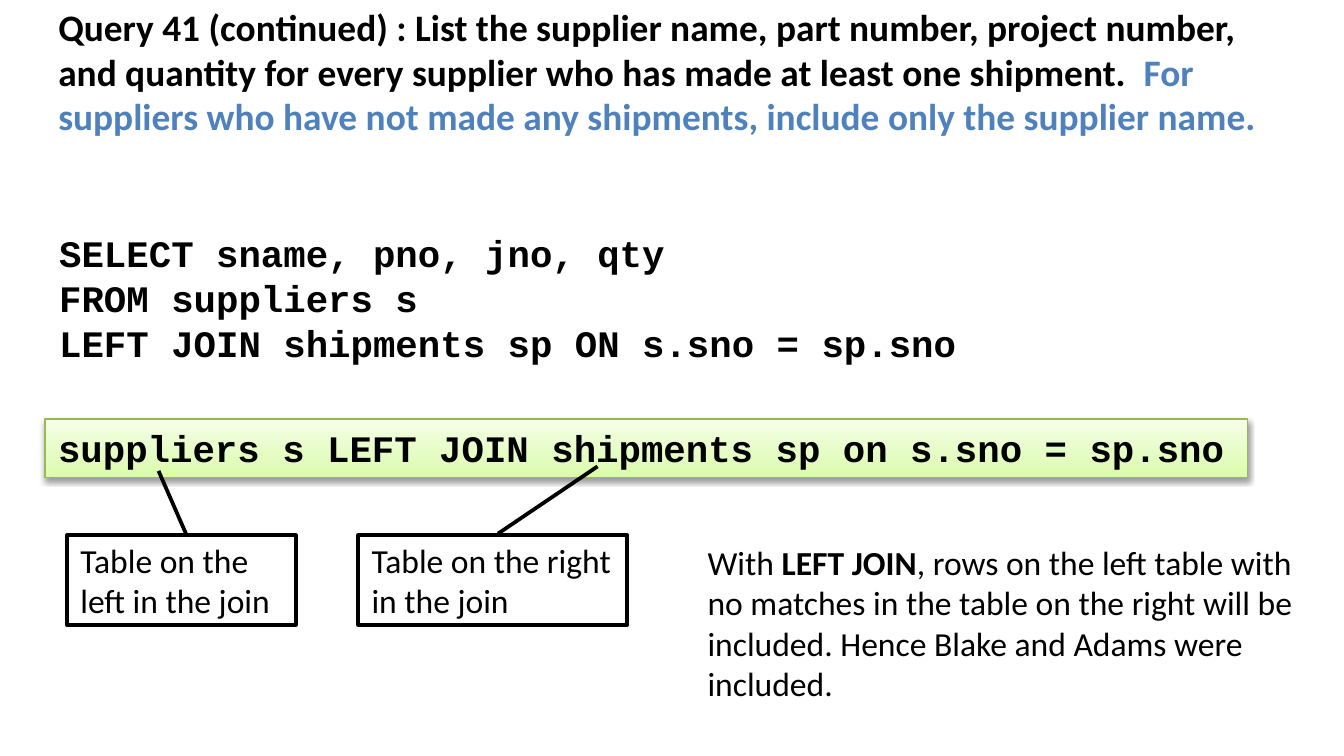
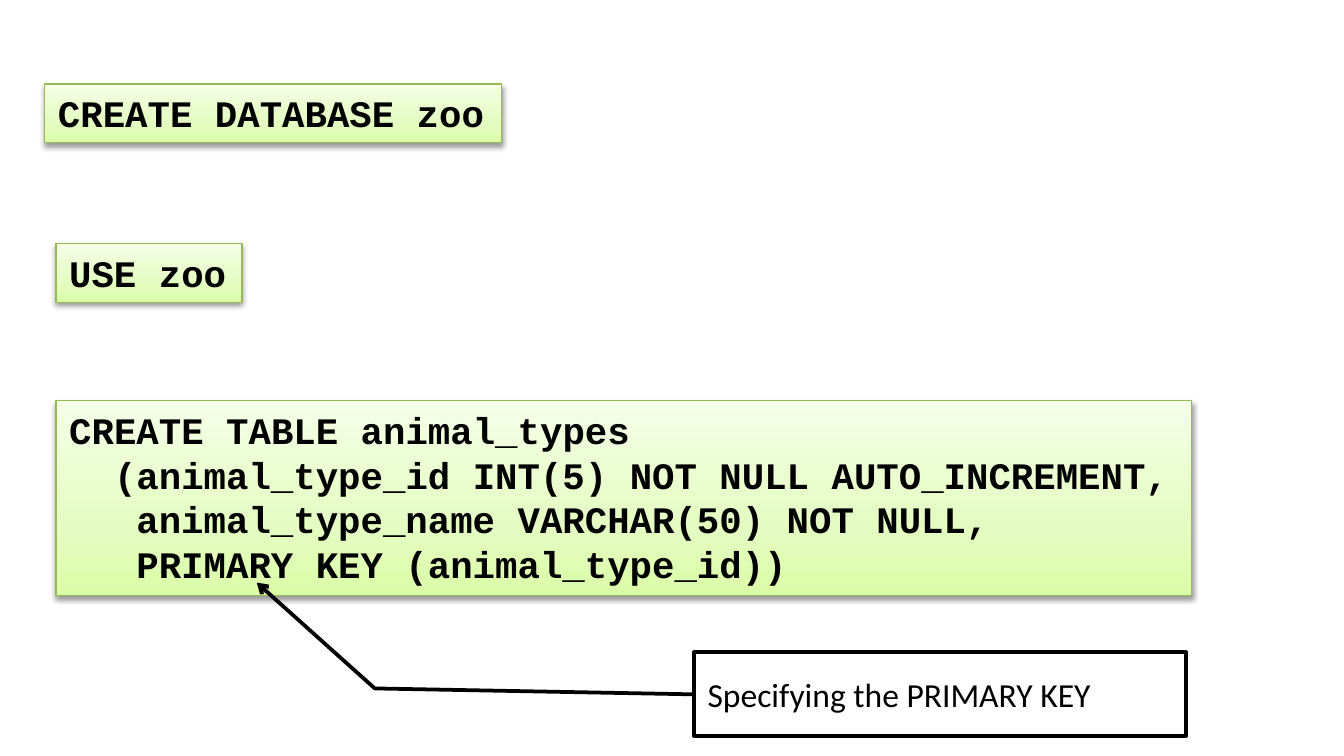
"""Build two SQL slides: a LEFT JOIN explained, and the creation of a zoo database."""
from copy import deepcopy

from lxml import etree
from pptx import Presentation
from pptx.dml.color import RGBColor
from pptx.enum.shapes import MSO_SHAPE
from pptx.enum.text import MSO_ANCHOR, MSO_AUTO_SIZE, PP_ALIGN
from pptx.oxml.ns import qn
from pptx.util import Inches, Pt

RECTANGLE = MSO_SHAPE.RECTANGLE
STRAIGHT_CALLOUT = MSO_SHAPE.LINE_CALLOUT_1
BENT_CALLOUT = MSO_SHAPE.LINE_CALLOUT_2
TOP, MIDDLE = MSO_ANCHOR.TOP, MSO_ANCHOR.MIDDLE
GROW, FIXED = MSO_AUTO_SIZE.SHAPE_TO_FIT_TEXT, MSO_AUTO_SIZE.NONE
LEFT = PP_ALIGN.LEFT

PROSE, CODE = "Calibri", "Courier New"
BLACK, BLUE, GREEN_EDGE = "000000", "4F81BD", "98B955"
GREENS = [(0, "DAFDA7"), (0.35, "E4FCC2"), (1, "F5FFE7")]
CODE_CHARACTER = Pt(12)

deck = Presentation()
deck.slide_width = Inches(10)
deck.slide_height = deck.slide_width * 9 // 16
CELL = deck.slide_width / 120
MARGIN, CODE_MARGIN, NOTE_COLUMN = 4, 5, 62
CALLOUT_ROW = 47.8


def cells(*counts):
    """Turn counts of grid cells into lengths."""
    return [round(count * CELL) for count in counts]


def write(shape, parts, font, size, bold=False, anchor=TOP, wrap=True, fit=GROW):
    """Write the parts as runs and format them alike."""
    frame = shape.text_frame
    frame.text = parts[0]
    for part in parts[1:]:
        frame.paragraphs[-1].add_run().text = part
    frame.word_wrap, frame.auto_size, frame.vertical_anchor = wrap, fit, anchor
    for paragraph in frame.paragraphs:
        paragraph.alignment = LEFT
        for run in paragraph.runs:
            run.font.name, run.font.size, run.font.bold = font, Pt(size), bold
            run.font.color.rgb = RGBColor.from_string(BLACK)


join_slide = deck.slides.add_slide(deck.slide_layouts[5])
zoo_slide = deck.slides.add_slide(deck.slide_layouts[6])

question = join_slide.shapes.title
question.left, question.top, question.width, question.height = cells(MARGIN, -0.25, 111.5, 13.3)
write(question, [
    "Query 41 (continued) : List the supplier name, part number, project number,  "
    "and quantity for every supplier who has made at least one shipment.  ",
    "For suppliers who have not made any shipments, include only the supplier name.",
], PROSE, 20, bold=True)
question.text_frame.paragraphs[0].runs[1].font.color.rgb = RGBColor.from_string(BLUE)

query = join_slide.shapes.add_textbox(*cells(4.1, 20, 83.2, 13.3))
write(query, ["SELECT sname, pno, jno, qty\nFROM suppliers s\n"
              "LEFT JOIN shipments sp ON s.sno = sp.sno"], CODE, 20, bold=True, wrap=False)

statements = [
    (join_slide, (MARGIN, 37.4, 107.4, 5.25),
     [(0, "suppliers s LEFT JOIN shipments sp on s.sno = sp.sno")]),
    (zoo_slide, (MARGIN, 7.5, 40.8, 5.25), [(0, "CREATE DATABASE zoo")]),
    (zoo_slide, (CODE_MARGIN, 35.75, 101.4, 17.4), [
        (0, "CREATE TABLE animal_types"),
        (2, "(animal_type_id INT(5) NOT NULL AUTO_INCREMENT,"),
        (3, "animal_type_name VARCHAR(50) NOT NULL,"),
        (3, "PRIMARY KEY (animal_type_id))")]),
    (zoo_slide, (CODE_MARGIN, 21.75, 16.6, 5.25), [(0, "USE zoo")]),
]
for slide, area, lines in statements:
    statement = slide.shapes.add_shape(RECTANGLE, *cells(*area))
    write(statement, ["\n".join(line for _, line in lines)], CODE, 20, bold=True, wrap=False)
    for paragraph, (indent, _) in zip(statement.text_frame.paragraphs, lines):
        margins = paragraph._p.get_or_add_pPr()
        margins.set("marL", str(indent * CODE_CHARACTER))
        margins.set("indent", "0")
    statement.fill.gradient()
    statement.fill.gradient_angle = 90
    properties = statement._element.spPr
    stops = properties.find(".//" + qn("a:gsLst"))
    stops.insert(1, deepcopy(stops[0]))
    for stop, (position, green) in zip(statement.fill.gradient_stops, GREENS):
        stop.position = position
        stop.color.rgb = RGBColor.from_string(green)
    statement.line.color.rgb = RGBColor.from_string(GREEN_EDGE)
    statement.line.width = Pt(0.75)
    statement.shadow.inherit = False
    shadow = etree.SubElement(
        properties.find(qn("a:effectLst")), qn("a:outerShdw"),
        blurRad=str(Pt(3.1)), dist=str(Pt(1.6)), dir="5400000", rotWithShape="0")
    shade = etree.SubElement(shadow, qn("a:srgbClr"), val=BLACK)
    etree.SubElement(shade, qn("a:alpha"), val="38000")

callouts = [
    (join_slide, STRAIGHT_CALLOUT, (6, CALLOUT_ROW, 20.4, 8),
     (-0.02, 0.52, -0.72, 0.4), "Table on the left in the join"),
    (join_slide, STRAIGHT_CALLOUT, (32, CALLOUT_ROW, 24, 8),
     (-0.02, 0.52, -0.77, 0.89), "Table on the right in the join"),
    (zoo_slide, BENT_CALLOUT, (NOTE_COLUMN, 58.25, 43.9, 7.5),
     (0.5, 0, 0.43, -0.65, -0.83, -0.89), "Specifying the PRIMARY KEY"),
]
for slide, outline, area, pointer, remark in callouts:
    callout = slide.shapes.add_shape(outline, *cells(*area))
    for index, share in enumerate(pointer):
        callout.adjustments[index] = share
    write(callout, [remark], PROSE, 18, anchor=MIDDLE, fit=FIXED)
    callout.fill.background()
    callout.line.color.rgb = RGBColor.from_string(BLACK)
    callout.line.width = Pt(2)
    callout.shadow.inherit = False
    if outline == BENT_CALLOUT:
        etree.SubElement(callout._element.spPr.find(qn("a:ln")), qn("a:tailEnd"), type="arrow")

explanation = join_slide.shapes.add_textbox(*cells(NOTE_COLUMN, CALLOUT_ROW, 55, 15.75))
write(explanation, [
    "With ", "LEFT JOIN",
    ", rows on the left table with no matches in the table on the right will be included. "
    "Hence Blake and Adams were included.",
], PROSE, 18)
explanation.text_frame.paragraphs[0].runs[1].font.bold = True

deck.save("out.pptx")
